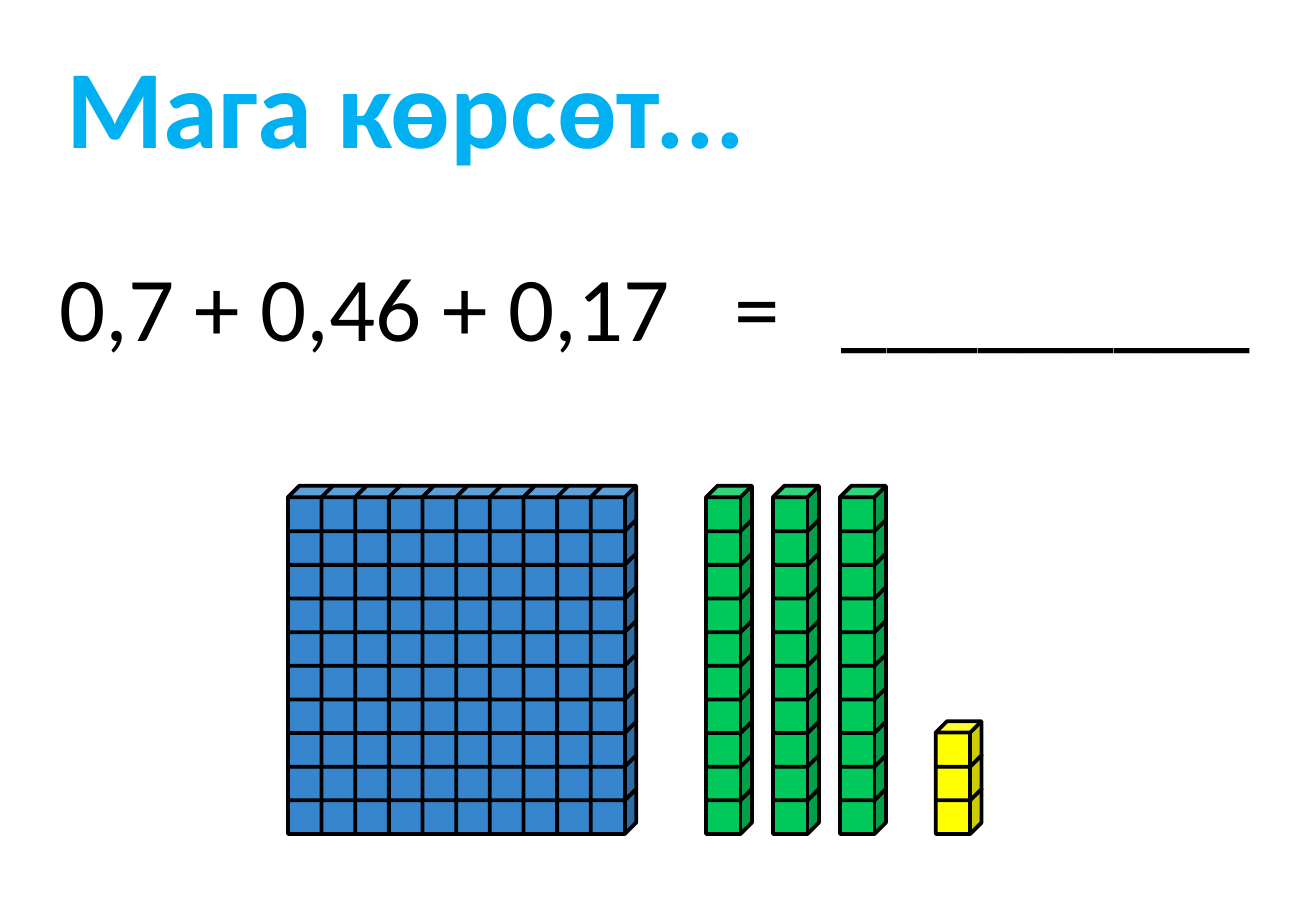
import pptx
import pptx.dml.color
import pptx.enum.shapes
import pptx.enum.text
import pptx.oxml.ns
import pptx.util
import lxml.etree

Cm = pptx.util.Cm
Pt = pptx.util.Pt


class BlockSlide:
    """Holds the style and current slide, and draws text and place value blocks."""

    colours = {
        "title": "00B0F0",
        "ink": "000000",
        "hundredths": "3786CD",
        "tens": "00C85A",
        "units": "FFFF00",
    }
    font_name = "Calibri"
    text_inset = 0.78
    cube_height = 0.95
    pitch = 6.33 / 9
    bottom_row = 16.49

    def __init__(self, presentation):
        self.slide = presentation.slides.add_slide(presentation.slide_layouts[6])

    def colour(self, name):
        return pptx.dml.color.RGBColor.from_string(self.colours[name])

    def add_text(self, text, box, size, colour, bold=False, tabs=()):
        shape = self.slide.shapes.add_textbox(*(Cm(length) for length in box))
        frame_format = {
            "word_wrap": True,
            "auto_size": pptx.enum.text.MSO_AUTO_SIZE.SHAPE_TO_FIT_TEXT,
            "margin_left": Cm(self.text_inset),
        }
        for name, value in frame_format.items():
            setattr(shape.text_frame, name, value)
        paragraph = shape.text_frame.paragraphs[0]
        paragraph.text = text
        if tabs:
            self.add_tabs(paragraph, tabs)
        font_format = {"name": self.font_name, "size": Pt(size), "bold": bold}
        for name, value in font_format.items():
            setattr(paragraph.font, name, value)
        paragraph.font.color.rgb = self.colour(colour)

    def add_tabs(self, paragraph, positions):
        qn = pptx.oxml.ns.qn
        properties = paragraph._p.get_or_add_pPr()
        tab_list = lxml.etree.SubElement(properties, qn("a:tabLst"))
        for position in positions:
            tab = lxml.etree.SubElement(tab_list, qn("a:tab"))
            tab.set("pos", str(Cm(position)))
            tab.set("algn", "l")

    def add_block(self, left, columns, rows, colour, cube_width=0.96):
        group = self.slide.shapes.add_group_shape()
        for column in range(columns):
            for row in range(rows):
                shape = group.shapes.add_shape(
                    pptx.enum.shapes.MSO_SHAPE.CUBE,
                    Cm(left + column * self.pitch),
                    Cm(self.bottom_row - row * self.pitch),
                    Cm(cube_width),
                    Cm(self.cube_height),
                )
                shape.shadow.inherit = False
                shape.fill.solid()
                shape.fill.fore_color.rgb = self.colour(colour)
                shape.line.color.rgb = self.colour("ink")
                shape.line.width = Pt(2.25)


def main():
    presentation = pptx.Presentation()
    presentation.slide_width = Cm(27.51)
    presentation.slide_height = Cm(19.05)

    page = BlockSlide(presentation)
    page.add_text("Мага көрсөт...", (0.61, 0.66, 19.15, 3.07), 66, "title", bold=True)
    page.add_text(
        "0,7 + 0,46 + 0,17\t=\t_________",
        (0.46, 5.11, 26.59, 2.57), 54, "ink", tabs=(14.11, 16.36),
    )
    page.add_block(6.02, 10, 10, "hundredths", cube_width=0.95)
    for stick in range(3):
        page.add_block(14.76 + stick * 1.4, 1, 10, "tens")
    page.add_block(19.56, 1, 3, "units")

    presentation.save("out.pptx")


if __name__ == "__main__":
    main()
